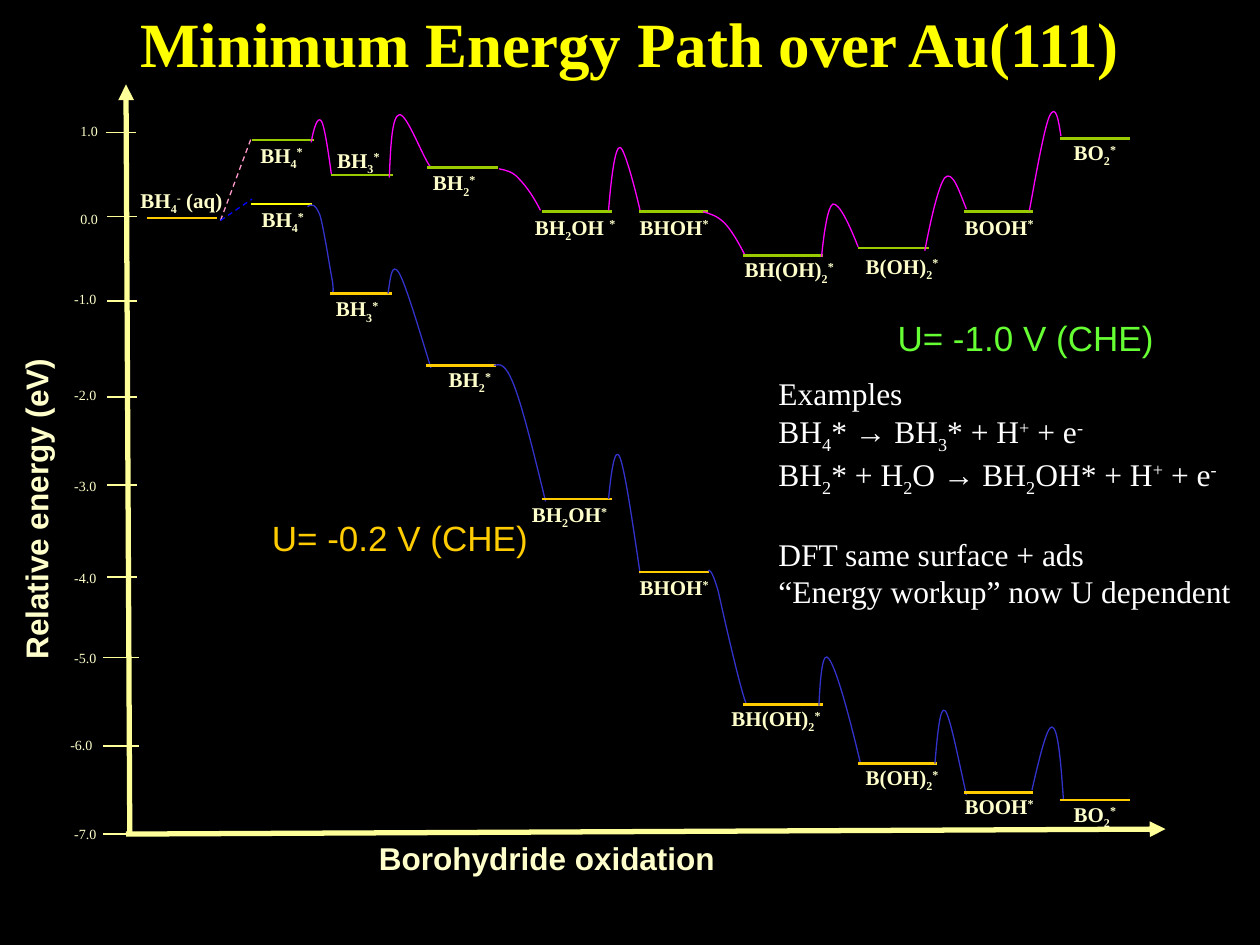
from lxml.etree import SubElement
from pptx import Presentation
from pptx.dml.color import RGBColor
from pptx.enum.dml import MSO_LINE
from pptx.enum.shapes import MSO_CONNECTOR
from pptx.enum.text import MSO_ANCHOR, MSO_AUTO_SIZE, PP_ALIGN
from pptx.oxml.ns import qn
from pptx.util import Pt

PX = 9144  # EMU; 100 px to the inch
SERIF, SANS = "Times New Roman", "Arial"
COLORS = {
    "background": "000000", "title": "FFFF00", "axis": "FFFF99", "label": "FFFFCC",
    "note": "FFFFFF", "high level": "99CC00", "high curve": "FF00FF",
    "high rise": "FF99CC", "high potential": "66FF33", "low level": "FFCC00",
    "low start": "FFFF00", "low curve": "3333CC", "low rise": "0000FF",
}
BASELINES = {"_": "-25000", "^": "30000"}

# value, label left and top, tick from, tick to, tick height
TICKS = [
    ("1.0", 54, 92, 84, 108, 105), ("0.0", 54, 162, 85, 109, 172),
    ("-1.0", 49, 226, 85, 109, 239), ("-2.0", 49, 302, 85, 109, 315),
    ("-3.0", 49, 374, 85, 109, 385), ("-4.0", 49, 447, 85, 109, 458),
    ("-5.0", 49, 511, 82, 110, 522), ("-6.0", 46, 580, 82, 110, 592),
    ("-7.0", 49, 650, 82, 110, 662),
]
# species, label (left, top, width), level (from, to, height), curve to the next level
HIGH_PATH = [
    ("BH_4^*", (185, 108, 77), (200, 249, 111),
     [(247, 113), (249, 102), (252, 92), (255, 96), (258, 100), (262, 131), (263, 138)]),
    ("BH_3^*", (251, 112, 67), (263, 312, 139),
     [(309, 141), (310, 117), (311, 92), (317, 91), (323, 90), (336, 126), (342, 133)]),
    ("BH_2^*", (326, 130, 69), (339, 395, 133),
     [(396, 134), (401, 135), (407, 136), (412, 142), (418, 148), (424, 157), (429, 167)]),
    ("BH_2OH ^*", (393, 165, 127), (430, 486, 168),
     [(483, 167), (485, 142), (488, 117), (492, 117), (496, 117), (506, 158), (508, 167)]),
    ("BHOH^*", (493, 165, 84), (507, 562, 168),
     [(558, 168), (564, 170), (569, 171), (575, 177), (580, 182), (586, 192), (591, 202)]),
    ("BH(OH)_2^*", (568, 199, 117), (590, 653, 203),
     [(652, 204), (654, 184), (657, 164), (661, 162), (666, 161), (674, 178), (681, 196)]),
    ("B(OH)_2^*", (674, 196, 84), (681, 737, 197),
     [(734, 199), (739, 173), (745, 147), (750, 141), (756, 135), (761, 151), (767, 166)]),
    ("BOOH^*", (751, 165, 84), (765, 820, 168),
     [(817, 167), (823, 134), (829, 101), (833, 92), (838, 82), (840, 95), (842, 108)]),
    ("BO_2^*", (827, 106, 84), (841, 897, 110), []),
]
LOW_PATH = [
    ("BH_4^*", (186, 159, 77), (199, 248, 162),
     [(244, 164), (247, 162), (250, 161), (254, 171), (257, 181), (262, 214), (264, 224),
      (265, 234), (264, 232), (264, 231)]),
    ("BH_3^*", (250, 230, 67), (262, 311, 233),
     [(308, 233), (310, 220), (311, 207), (317, 217), (322, 226), (332, 259), (342, 292)]),
    ("BH_2^*", (338, 286, 70), (338, 394, 290),
     [(392, 290), (397, 289), (401, 288), (408, 306), (415, 324), (424, 361), (433, 398)]),
    ("BH_2OH^*", (403, 393, 98), (430, 486, 396),
     [(483, 396), (485, 375), (488, 353), (492, 363), (496, 373), (502, 414), (508, 455)]),
    ("BHOH^*", (493, 451, 84), (507, 563, 454),
     [(562, 453), (563, 452), (565, 452), (570, 469), (574, 487), (587, 545), (592, 558)]),
    ("BH(OH)_2^*", (566, 555, 100), (590, 653, 559),
     [(650, 560), (651, 537), (653, 515), (658, 523), (664, 531), (674, 568), (683, 606)]),
    ("B(OH)_2^*", (674, 602, 84), (681, 744, 606),
     [(742, 606), (744, 583), (746, 560), (750, 564), (754, 568), (760, 600), (767, 631)]),
    ("BOOH^*", (751, 625, 84), (765, 820, 629),
     [(819, 627), (825, 601), (831, 576), (835, 577), (840, 578), (842, 607), (844, 635)]),
    ("BO_2^*", (827, 631, 84), (841, 897, 635), []),
]
EXAMPLES = [
    "Examples", "BH_4* → BH_3* + H^+ + e^-", "BH_2* + H_2O → BH_2OH* + H^+ + e^-",
    "DFT same surface + ads", "“Energy workup” now U dependent",
]


def rgb(role):
    return RGBColor.from_string(COLORS[role])


def split_scripts(formula):
    """Split a formula into (mark, text) pieces; _ lowers and ^ raises the next character."""
    pieces, mark = [("", "")], ""
    for char in formula:
        if char in BASELINES:
            mark = char
        elif mark or pieces[-1][0]:
            pieces.append((mark, char))
            mark = ""
        else:
            pieces[-1] = ("", pieces[-1][1] + char)
    return [piece for piece in pieces if piece[1]]


def write_formula(paragraph, formula, size, face, role, bold=False):
    for mark, text in split_scripts(formula):
        run = paragraph.add_run()
        run.text = text
        if mark:
            run.font._element.set("baseline", BASELINES[mark])
    font = paragraph.font
    font.size, font.name, font.bold = Pt(size), face, bold
    font.color.rgb = rgb(role)


def add_text(shapes, box, lines, size, face, role, bold=False, align=PP_ALIGN.CENTER, wrap=True):
    textbox = shapes.add_textbox(*(length * PX for length in box))
    frame = textbox.text_frame
    frame.word_wrap = wrap
    for index, line in enumerate(lines):
        paragraph = frame.add_paragraph() if index else frame.paragraphs[0]
        paragraph.alignment = align
        write_formula(paragraph, line, size, face, role, bold)
    return textbox


def add_line(shapes, start, end, role, width, dashed=False, arrow=False):
    line = shapes.add_connector(MSO_CONNECTOR.STRAIGHT, *(n * PX for n in (*start, *end)))
    line.line.color.rgb = rgb(role)
    line.line.width = Pt(width)
    if dashed:
        line.line.dash_style = MSO_LINE.DASH
    properties = line.element.spPr
    if arrow:
        SubElement(properties.find(qn("a:ln")), qn("a:tailEnd"), type="triangle")
    SubElement(properties, qn("a:effectLst"))


def add_curve(shapes, points, role):
    """Draw a Bezier curve: a start point, then two control points and an end per segment."""
    builder = shapes.build_freeform(*points[0], scale=PX)
    builder.add_line_segments(points[1:], close=False)
    curve = builder.convert_to_shape()
    segments = list(curve.element.iter(qn("a:lnTo")))
    for first in range(0, len(segments), 3):
        bezier = SubElement(segments[first].getparent(), qn("a:cubicBezTo"))
        for segment in segments[first:first + 3]:
            bezier.append(segment[0])
            segment.getparent().remove(segment)
    curve.fill.background()
    curve.line.color.rgb = rgb(role)
    curve.line.width = Pt(0.75)
    curve.shadow.inherit = False


def add_energy_path(shapes, name, steps, rise_end, potential, potential_box, start_role):
    add_line(shapes, (175, 175), rise_end, f"{name} rise", 0.75, dashed=True)
    for index, (species, (left, top, width), (x1, x2, y), curve) in enumerate(steps):
        add_line(shapes, (x1, y), (x2, y), f"{name} level" if index else start_role, 1.5)
        add_text(shapes, (left, top, width, 30), [species], 12, SERIF, "label", bold=True)
        if curve:
            add_curve(shapes, curve, f"{name} curve")
    role = "high potential" if name == "high" else "low level"
    add_text(shapes, potential_box, [potential], 20, SANS, role)


def add_axes(shapes):
    energy = add_text(shapes, (-134, 384, 325, 40), ["Relative energy (eV)"], 18, SANS,
                      "label", bold=True)
    energy.rotation = 270
    add_line(shapes, (103, 661), (100, 67), "axis", 3, arrow=True)
    add_line(shapes, (100, 662), (925, 658), "axis", 3, arrow=True)
    add_text(shapes, (291, 661, 287, 40), ["Borohydride oxidation"], 18, SANS, "label",
             bold=True, align=PP_ALIGN.LEFT, wrap=False)
    for value, left, top, x1, x2, y in TICKS:
        add_line(shapes, (x1, y), (x2, y), "axis", 0.75)
        add_text(shapes, (left, top, 43, 23), [value], 8, SERIF, "label", align=PP_ALIGN.LEFT)


def set_title(title, text):
    title.left, title.top, title.width, title.height = 0, -8 * PX, 1000 * PX, 83 * PX
    frame = title.text_frame
    frame.word_wrap, frame.auto_size = False, MSO_AUTO_SIZE.NONE
    frame.vertical_anchor = MSO_ANCHOR.MIDDLE
    frame.paragraphs[0].alignment = PP_ALIGN.CENTER
    write_formula(frame.paragraphs[0], text, 36, SERIF, "title", bold=True)


def main():
    deck = Presentation()
    deck.slide_width, deck.slide_height = 1000 * PX, 750 * PX
    slide = deck.slides.add_slide(deck.slide_layouts[5])
    slide.background.fill.solid()
    slide.background.fill.fore_color.rgb = rgb("background")
    shapes = slide.shapes

    set_title(shapes.title, "Minimum Energy Path over Au(111)")
    add_axes(shapes)
    add_line(shapes, (117, 173), (172, 173), "low level", 1.5)
    add_text(shapes, (94, 144, 100, 30), ["BH_4^- (aq)"], 12, SERIF, "label", bold=True)
    add_energy_path(shapes, "high", HIGH_PATH, (200, 108), "U= -1.0 V (CHE)",
                    (685, 246, 258, 43), "high level")
    add_energy_path(shapes.add_group_shape().shapes, "low", LOW_PATH, (200, 158),
                    "U= -0.2 V (CHE)", (201, 405, 233, 43), "low start")
    examples = add_text(shapes, (608, 292, 383, 192), EXAMPLES, 18, SERIF, "note",
                        align=PP_ALIGN.LEFT, wrap=False)
    examples.text_frame.paragraphs[3].space_before = Pt(21)
    deck.save("out.pptx")


if __name__ == "__main__":
    main()
